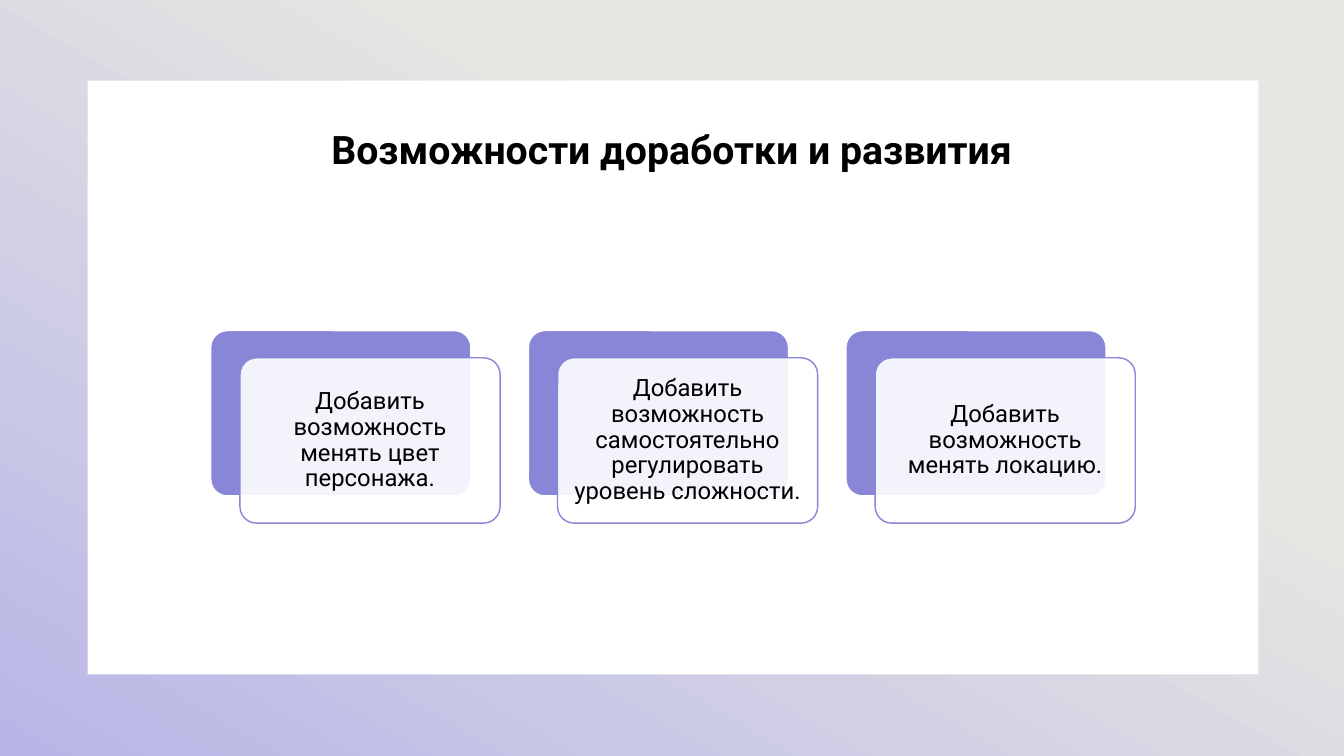
from dataclasses import dataclass
from lxml.etree import SubElement
from pptx import Presentation
from pptx.dml.color import RGBColor as RGB
from pptx.enum.shapes import MSO_SHAPE as Shape
from pptx.enum.text import MSO_ANCHOR as Anchor, PP_ALIGN as Align
from pptx.oxml.ns import qn
from pptx.util import Inches, Pt

HEADING = "Возможности доработки и развития"
IDEAS = [
    "Добавить возможность менять цвет персонажа.",
    "Добавить возможность самостоятельно регулировать уровень сложности.",
    "Добавить возможность менять локацию.",
]


@dataclass(frozen=True)
class Theme:
    font: str = "Roboto"
    heading_size: int = 28
    idea_size: int = 17
    ink: RGB = RGB(0, 0, 0)
    paper: RGB = RGB(255, 255, 255)
    accent: RGB = RGB.from_string("8985D7")
    backdrop: tuple = ((0.32, "E8E8E2"), (1, "B8B6E7"))
    backdrop_angle: int = 240
    card_opacity: int = 90


THEME = Theme()
WIDTH, HEIGHT = 13.33, 7.5
PANEL = (0.87, 0.8, 11.61, 5.89)
HEADING_BOX = (2.33, 1.25, 8.66, 0.63)
CARD_W, CARD_H = 2.58, 1.64
CARDS_LEFT, CARDS_TOP, CARD_PITCH = 2.09, 3.28, 3.15
SHIFT_X, SHIFT_Y = 0.29, 0.27
CORNER, CARD_INSET = 0.1, 0.07

deck = Presentation()
deck.slide_width, deck.slide_height = Inches(WIDTH), Inches(HEIGHT)
slide = deck.slides.add_slide(deck.slide_layouts[6])


def add_block(kind, box, fill=None, line=None):
    block = slide.shapes.add_shape(kind, *map(Inches, box))
    block.shadow.inherit = False
    if fill is not None:
        block.fill.solid()
        block.fill.fore_color.rgb = fill
    if line is None:
        block.line.fill.background()
    else:
        block.line.color.rgb = line
        block.line.width = Pt(1)
    return block


def add_card(left, top, fill, line):
    card = add_block(Shape.ROUNDED_RECTANGLE, (left, top, CARD_W, CARD_H), fill, line)
    card.adjustments[0] = CORNER
    return card


def write(frame, wording, size, bold=False):
    frame.word_wrap = True
    paragraph = frame.paragraphs[0]
    paragraph.text = wording
    paragraph.alignment = Align.CENTER
    paragraph.line_spacing = 0.9
    font = paragraph.font
    font.name, font.size, font.bold = THEME.font, Pt(size), bold
    font.color.rgb = THEME.ink


backdrop = add_block(Shape.RECTANGLE, (0, 0, WIDTH, HEIGHT))
backdrop.fill.gradient()
backdrop.fill.gradient_angle = THEME.backdrop_angle
for stop, (position, tint) in zip(backdrop.fill.gradient_stops, THEME.backdrop):
    stop.position = position
    stop.color.rgb = RGB.from_string(tint)

add_block(Shape.RECTANGLE, PANEL, THEME.paper)
heading = slide.shapes.add_textbox(*map(Inches, HEADING_BOX))
write(heading.text_frame, HEADING, THEME.heading_size, bold=True)

for column, idea in enumerate(IDEAS):
    left = CARDS_LEFT + column * CARD_PITCH
    add_card(left, CARDS_TOP, THEME.accent, THEME.paper)
    front = add_card(left + SHIFT_X, CARDS_TOP + SHIFT_Y, THEME.paper, THEME.accent)
    tint = front.fill._xPr.find(qn("a:solidFill"))[0]
    SubElement(tint, qn("a:alpha"), val=str(THEME.card_opacity * 1000))
    frame = front.text_frame
    frame.vertical_anchor = Anchor.MIDDLE
    frame.margin_left = frame.margin_right = Inches(CARD_INSET)
    frame.margin_top = frame.margin_bottom = Inches(CARD_INSET)
    write(frame, idea, THEME.idea_size)

deck.save("out.pptx")
